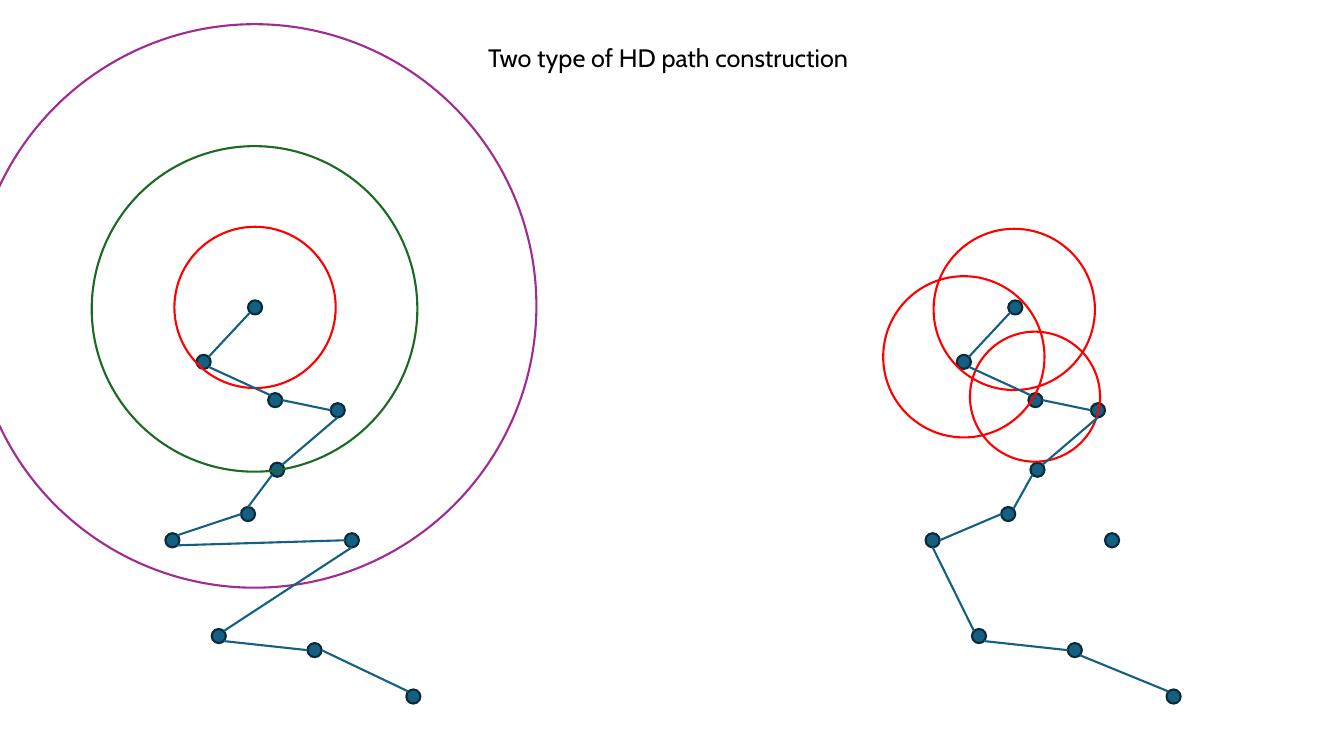
from dataclasses import dataclass
from typing import Optional

from lxml.etree import SubElement
from pptx import Presentation
from pptx.dml.color import RGBColor
from pptx.enum.shapes import MSO_CONNECTOR, MSO_SHAPE
from pptx.enum.text import MSO_ANCHOR, MSO_AUTO_SIZE, PP_ALIGN
from pptx.oxml.ns import qn
from pptx.slide import Slide
from pptx.util import Emu, Pt

SCALE = 9144
DOT = 14
SHIFT = 754
BLUE, NAVY = "156082", "092A39"
RED, GREEN, PURPLE = "FF0000", "196B24", "A02B93"

SITES = {
    "top": (7, 0), "left": (0, 7), "bottom": (7, 14), "right": (14, 7),
    "nw": (2, 2), "ne": (12, 2), "sw": (2, 12), "se": (12, 12),
}

DOTS = {
    "a": (246, 298), "b": (195, 352), "c": (266, 390), "d": (328, 400),
    "e": (268, 459), "f": (239, 503), "g": (164, 529), "h": (342, 529),
    "i": (210, 624), "j": (305, 638), "k": (403, 684),
}


@dataclass(frozen=True)
class Ring:
    left: int
    top: int
    size: int
    color: str


@dataclass(frozen=True)
class Link:
    start: str
    exit: str
    end: str
    entry: str


@dataclass(frozen=True)
class Route:
    shift: int
    rings: list[Ring]
    links: list[Link]


SHARED = [
    Link("a", "sw", "b", "ne"),
    Link("b", "se", "c", "nw"),
    Link("c", "right", "d", "left"),
    Link("e", "ne", "d", "bottom"),
    Link("i", "se", "j", "left"),
]

ROUTES = [
    Route(
        0,
        [Ring(173, 225, 160, RED), Ring(91, 145, 323, GREEN),
         Ring(-27, 24, 559, PURPLE)],
        SHARED + [
            Link("e", "sw", "f", "top"),
            Link("g", "ne", "f", "left"),
            Link("g", "se", "h", "left"),
            Link("i", "ne", "h", "bottom"),
            Link("k", "nw", "j", "right"),
        ],
    ),
    Route(
        SHIFT,
        [Ring(926, 227, 160, RED), Ring(876, 274, 160, RED),
         Ring(962, 329, 129, RED)],
        SHARED + [
            Link("f", "ne", "e", "sw"),
            Link("f", "left", "g", "right"),
            Link("i", "nw", "g", "bottom"),
            Link("j", "se", "k", "nw"),
        ],
    ),
]


def px(count: int) -> Emu:
    return Emu(count * SCALE)


def rgb(code: str) -> RGBColor:
    return RGBColor.from_string(code)


def add_disc(slide: Slide, left: int, top: int, size: int,
             edge: str, fill: Optional[str] = None) -> None:
    disc = slide.shapes.add_shape(
        MSO_SHAPE.OVAL, px(left), px(top), px(size), px(size))
    disc.shadow.inherit = False
    disc.line.color.rgb = rgb(edge)
    disc.line.width = Pt(1.5)
    if fill is None:
        disc.fill.background()
    else:
        disc.fill.solid()
        disc.fill.fore_color.rgb = rgb(fill)


def site(dot: str, side: str, shift: int) -> tuple[Emu, Emu]:
    left, top = DOTS[dot]
    across, down = SITES[side]
    return px(left + across + shift), px(top + down)


def add_link(slide: Slide, link: Link, shift: int) -> None:
    line = slide.shapes.add_connector(
        MSO_CONNECTOR.STRAIGHT,
        *site(link.start, link.exit, shift),
        *site(link.end, link.entry, shift))
    line.line.color.rgb = rgb(BLUE)
    line.line.width = Pt(1.5)
    SubElement(line._element.spPr, qn("a:effectLst"))


def add_route(slide: Slide, route: Route) -> None:
    for left, top in DOTS.values():
        add_disc(slide, left + route.shift, top, DOT, NAVY, BLUE)
    for ring in route.rings:
        add_disc(slide, ring.left, ring.top, ring.size, ring.color)
    for link in route.links:
        add_link(slide, link, route.shift)


def set_title(slide: Slide, text: str) -> None:
    title = slide.shapes.title
    title.left, title.top = px(474), px(37)
    title.width, title.height = px(386), px(40)
    frame = title.text_frame
    frame.text = text
    frame.word_wrap = False
    frame.auto_size = MSO_AUTO_SIZE.SHAPE_TO_FIT_TEXT
    frame.vertical_anchor = MSO_ANCHOR.TOP
    line = frame.paragraphs[0]
    line.alignment = PP_ALIGN.LEFT
    line.font.name = "Cabin"
    line.font.size = Pt(18)
    line.font.color.rgb = rgb("000000")


def main() -> None:
    deck = Presentation()
    deck.slide_width, deck.slide_height = px(1333), px(750)
    slide = deck.slides.add_slide(deck.slide_layouts[5])
    set_title(slide, "Two type of HD path construction")
    for route in ROUTES:
        add_route(slide, route)
    deck.save("out.pptx")


if __name__ == "__main__":
    main()
